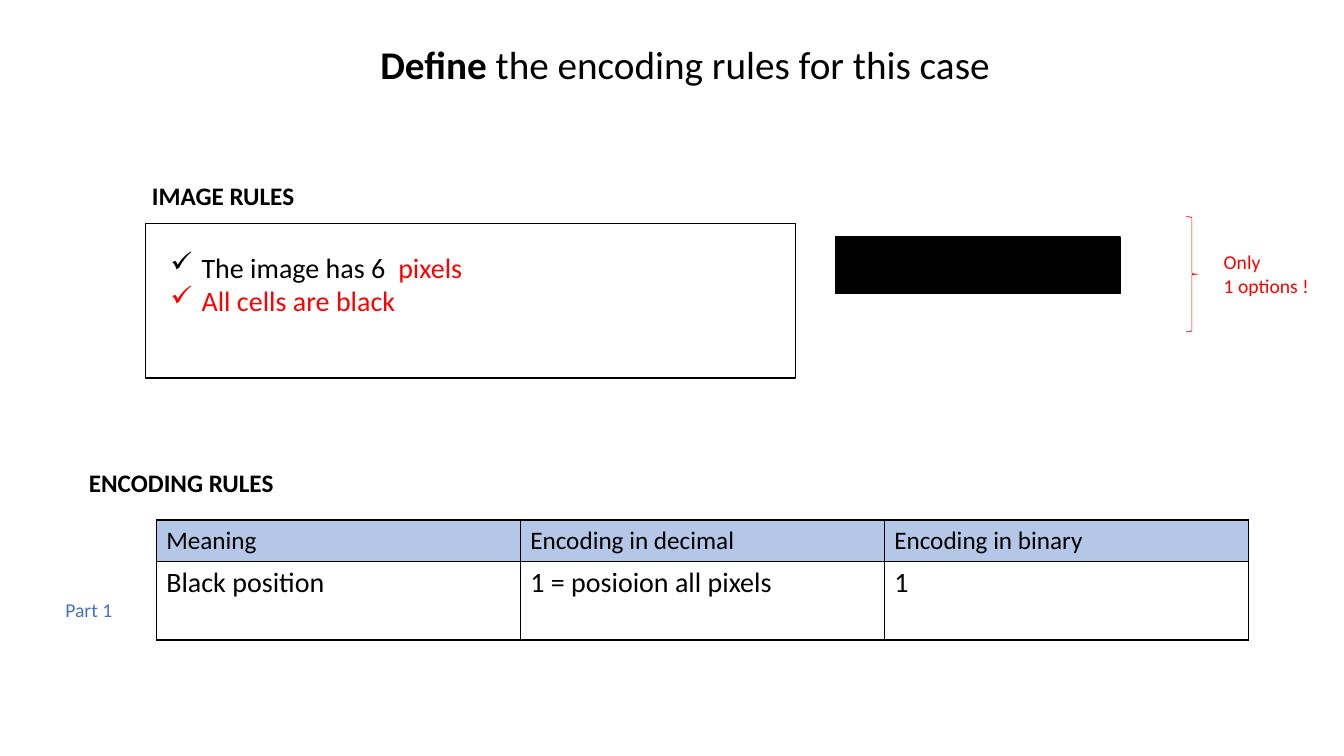
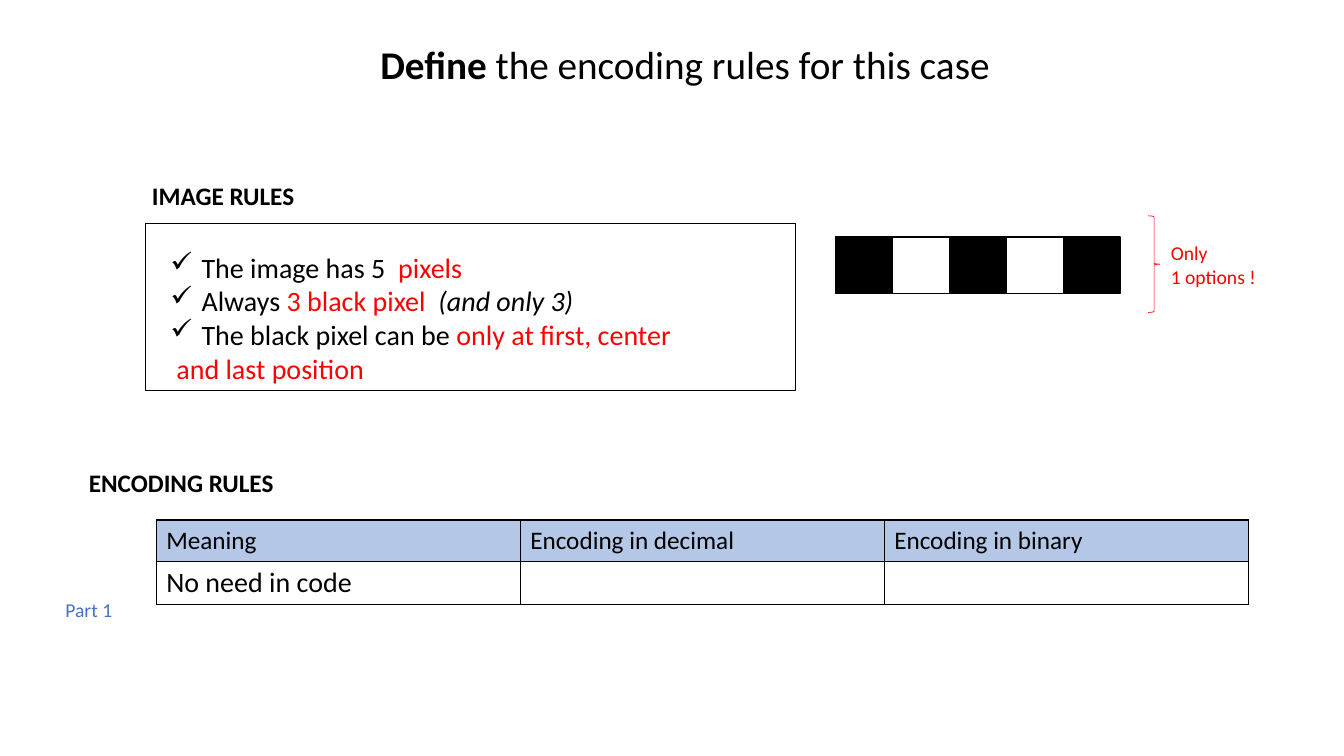
from dataclasses import dataclass

from lxml import etree
from pptx import Presentation
from pptx.dml.color import RGBColor
from pptx.enum.shapes import MSO_SHAPE
from pptx.enum.text import MSO_AUTO_SIZE, PP_ALIGN
from pptx.oxml.ns import qn
from pptx.util import Emu, Inches, Pt

RECT, BRACE = MSO_SHAPE.RECTANGLE, MSO_SHAPE.RIGHT_BRACE
LEFT, CENTER = PP_ALIGN.LEFT, PP_ALIGN.CENTER
FIT = MSO_AUTO_SIZE.SHAPE_TO_FIT_TEXT

BLACK = RGBColor(0x00, 0x00, 0x00)
WHITE = RGBColor(0xFF, 0xFF, 0xFF)
RED = RGBColor(0xFF, 0x00, 0x00)
BLUE = RGBColor(0x44, 0x72, 0xC4)
HEADER_FILL = RGBColor(0xB4, 0xC7, 0xE7)
FONT = "Calibri"

# The slide is a grid of 160 columns by 90 rows of square units
COLS, ROWS = 160, 90
UNIT = 76200

PIXEL = 6.77
PIXEL_LEFT, PIXEL_TOP = 99.5, 28.2
TABLE_COLS, TABLE_WIDTH = 3, 130
HEADER_ROW = 4.9
HEADERS = ("Meaning", "Encoding in decimal", "Encoding in binary")


@dataclass(frozen=True)
class Box:
    left: float
    top: float
    width: float
    height: float

    def emu(self) -> tuple[Emu, ...]:
        return tuple(Emu(round(v * UNIT))
                     for v in (self.left, self.top, self.width, self.height))


@dataclass(frozen=True)
class Span:
    text: str
    color: RGBColor = BLACK
    bold: bool = False
    italic: bool = False


@dataclass(frozen=True)
class Line:
    spans: tuple[Span, ...]
    bullet: bool = False
    indent: float = 0


@dataclass(frozen=True)
class Case:
    rules: tuple[Line, ...]
    rules_box: Box
    frame: Box
    pixels: tuple[RGBColor, ...]
    brace: Box
    note: Box
    answers: tuple[str, ...]
    answer_row: float


def plain(text: str, color: RGBColor = BLACK, bold: bool = False) -> Line:
    return Line((Span(text, color, bold),))


def rule(*spans: Span) -> Line:
    return Line(spans, bullet=True)


CASES = (
    Case(
        rules=(rule(Span("The image has 6  "), Span("pixels", RED)),
               rule(Span("All cells are black", RED))),
        rules_box=Box(19.1, 29.2, 37.6, 9.2),
        frame=Box(17.3, 26.6, 77.4, 18.4),
        pixels=(BLACK,) * 5,
        brace=Box(141.2, 25.8, 1.4, 13.7),
        note=Box(144.5, 29.2, 12.6, 6.8),
        answers=("Black position", "1 = posioion all pixels", "1"),
        answer_row=9.4,
    ),
    Case(
        rules=(rule(Span("The image has 5  "), Span("pixels", RED)),
               rule(Span("Always "), Span("3 black pixel  ", RED),
                    Span("(and only 3)", italic=True)),
               rule(Span("The black pixel can be "),
                    Span("only at first, center", RED)),
               Line((Span("and last position", RED),), indent=0.06)),
        rules_box=Box(19.1, 29.2, 62.6, 17.4),
        frame=Box(17.3, 26.6, 77.4, 19.9),
        pixels=(BLACK, WHITE, BLACK, WHITE, BLACK),
        brace=Box(136.7, 25.7, 1.4, 11.5),
        note=Box(138.2, 28.1, 12.6, 6.8),
        answers=("No need in code", "", ""),
        answer_row=5.2,
    ),
)


def set_margin(p, line: Line) -> None:
    """Indent a paragraph and give a rule its check mark."""
    pPr = p._p.get_or_add_pPr()
    if line.bullet:
        pPr.set("marL", str(Inches(0.31)))
        pPr.set("indent", str(-Inches(0.31)))
        bullet = etree.Element(qn("a:buChar"), char="✓")
        defaults = pPr.find(qn("a:defRPr"))
        defaults.addprevious(bullet)
    elif line.indent:
        pPr.set("marL", str(Inches(line.indent)))


def write(p, line: Line, size: float) -> None:
    p.font.name = FONT
    p.font.size = Pt(size)
    shared = len({s.color for s in line.spans}) == 1
    if shared:
        p.font.color.rgb = line.spans[0].color
    for span in line.spans:
        r = p.add_run()
        r.text = span.text
        if not shared:
            r.font.color.rgb = span.color
        if span.bold:
            r.font.bold = True
        if span.italic:
            r.font.italic = True
    set_margin(p, line)


def add_text(s, box: Box, lines: tuple[Line, ...], size: float,
             align: PP_ALIGN = LEFT, wrap: bool = False) -> None:
    tf = s.shapes.add_textbox(*box.emu()).text_frame
    tf.word_wrap = wrap
    tf.auto_size = FIT
    for i, line in enumerate(lines):
        p = tf.add_paragraph() if i else tf.paragraphs[0]
        p.alignment = align
        write(p, line, size)


def add_shape(s, kind: MSO_SHAPE, box: Box, fill: RGBColor | None = None,
              color: RGBColor = BLACK, weight: float = 1) -> None:
    sp = s.shapes.add_shape(kind, *box.emu())
    sp.shadow.inherit = False
    if fill is None:
        sp.fill.background()
    else:
        sp.fill.solid()
        sp.fill.fore_color.rgb = fill
    sp.line.color.rgb = color
    sp.line.width = Pt(weight)


def set_borders(cell) -> None:
    tcPr = cell._tc.get_or_add_tcPr()
    for i, side in enumerate(("lnL", "lnR", "lnT", "lnB")):
        ln = etree.Element(qn(f"a:{side}"), w=str(Pt(1)))
        fill = etree.SubElement(ln, qn("a:solidFill"))
        etree.SubElement(fill, qn("a:srgbClr"), val=str(BLACK))
        tcPr.insert(i, ln)


def add_encoding_table(s, case: Case) -> None:
    box = Box(18.6, 61.9, TABLE_WIDTH, HEADER_ROW + case.answer_row)
    table = s.shapes.add_table(2, TABLE_COLS, *box.emu()).table
    table.first_row = table.horz_banding = False
    rows = ((HEADERS, HEADER_ROW, 18), (case.answers, case.answer_row, 20))
    for i, (texts, height, size) in enumerate(rows):
        table.rows[i].height = Emu(round(height * UNIT))
        for j, text in enumerate(texts):
            cell = table.cell(i, j)
            if i == 0:
                cell.fill.solid()
                cell.fill.fore_color.rgb = HEADER_FILL
            else:
                cell.fill.background()
            set_borders(cell)
            if text:
                write(cell.text_frame.paragraphs[0], plain(text), size)


def add_case(prs, case: Case) -> None:
    s = prs.slides.add_slide(prs.slide_layouts[6])

    # Title and headings
    title = Line((Span("Define", bold=True),
                  Span(" the encoding rules for this case")))
    add_text(s, Box(36, 4.2, 91.1, 6.8), (title,), 28, CENTER, wrap=True)
    add_text(s, Box(16.9, 20.9, 19.6, 4.8),
             (plain("IMAGE RULES", bold=True),), 18)
    add_text(s, Box(9.4, 55.1, 24.7, 4.8),
             (plain("ENCODING RULES", bold=True),), 18)

    # Image rules
    add_shape(s, RECT, case.frame)
    add_text(s, case.rules_box, case.rules, 20)

    # Row of pixels with its number of options
    for i, fill in enumerate(case.pixels):
        add_shape(s, RECT, Box(PIXEL_LEFT + i * PIXEL, PIXEL_TOP, PIXEL, PIXEL),
                  fill)
    add_shape(s, BRACE, case.brace, color=RED, weight=0.5)
    add_text(s, case.note, (plain("Only", RED), plain("1 options !", RED)), 14)

    # Encoding rules
    add_encoding_table(s, case)
    add_text(s, Box(6.6, 70.6, 8, 4.1), (plain("Part 1", BLUE),), 14)


def main() -> None:
    prs = Presentation()
    prs.slide_width, prs.slide_height = Emu(COLS * UNIT), Emu(ROWS * UNIT)
    for case in CASES:
        add_case(prs, case)
    prs.save("out.pptx")


if __name__ == "__main__":
    main()
